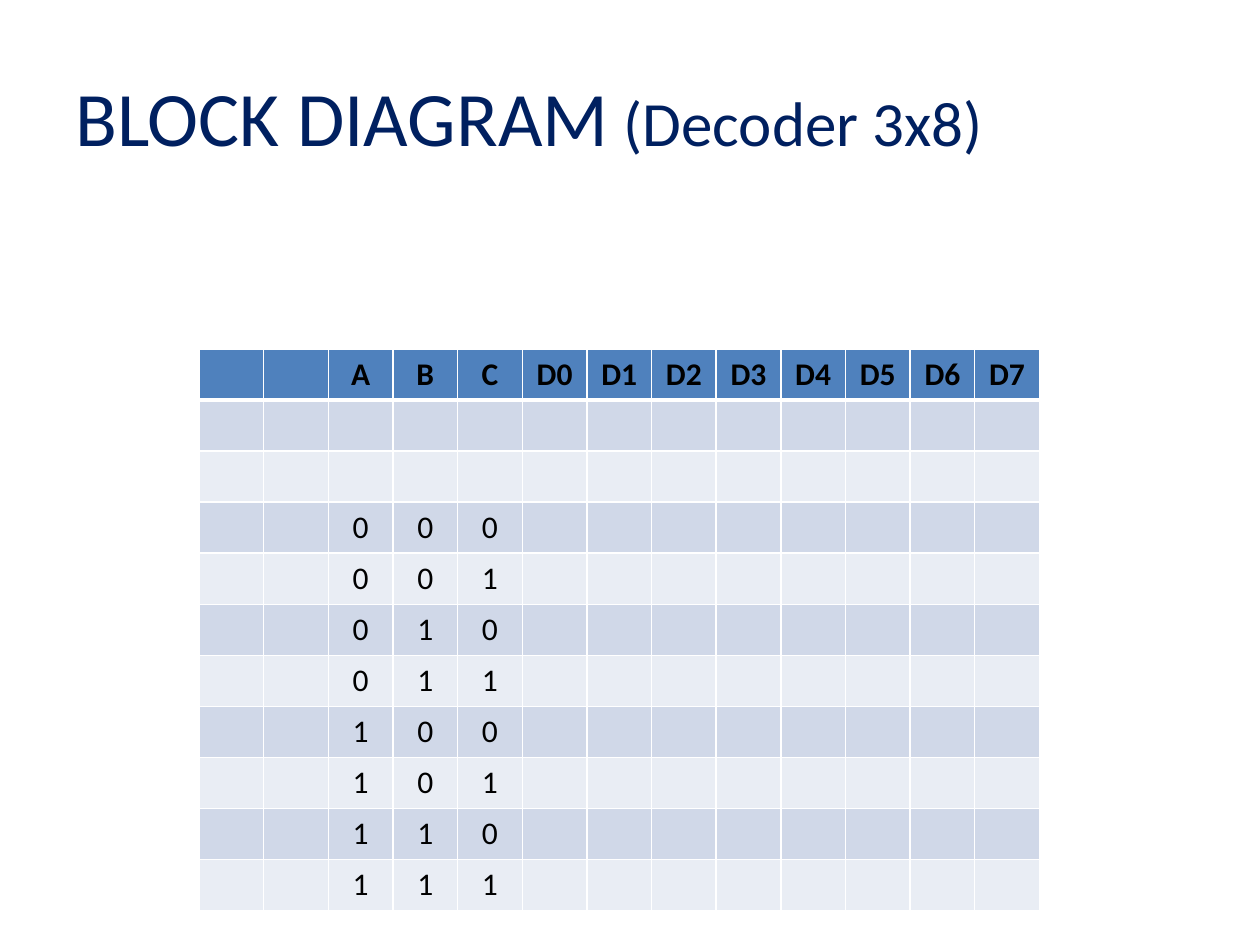
from dataclasses import dataclass
from itertools import product

from lxml.etree import SubElement
from pptx import Presentation
from pptx.dml.color import RGBColor as Color
from pptx.enum.text import MSO_ANCHOR as Anchor, PP_ALIGN as Align
from pptx.oxml.ns import qn
from pptx.util import Inches, Pt

TITLE = [("BLOCK DIAGRAM", 44), (" (Decoder 3x8)", 36)]
INPUTS = ["A", "B", "C"]
OUTPUTS = [f"D{number}" for number in range(8)]
HEADER = ["", ""] + INPUTS + OUTPUTS
EMPTY_ROW = [""] * len(HEADER)
TRUTH_ROWS = [["", "", *bits] + [""] * len(OUTPUTS)
              for bits in product("01", repeat=len(INPUTS))]
ROWS = [HEADER, EMPTY_ROW, EMPTY_ROW, *TRUTH_ROWS]

TITLE_AREA = (0.5, 0.29, 9, 1.25)
TABLE_AREA = (1.58, 2.77, 6.67, 4.46)


@dataclass(frozen=True)
class Theme:
    font: str = "Calibri"
    title: str = "002060"
    text: str = "000000"
    header: str = "4F81BD"
    bands: tuple = ("D0D8E8", "E9EDF4")
    border: str = "FFFFFF"
    cell_size: int = 18
    thin: int = 1
    thick: int = 3


THEME = Theme()


def style_font(font, color):
    font.name = THEME.font
    font.color.rgb = Color.from_string(color)


def add_title(slide):
    box = slide.shapes.add_textbox(*map(Inches, TITLE_AREA))
    frame = box.text_frame
    frame.word_wrap = True
    frame.vertical_anchor = Anchor.MIDDLE
    para = frame.paragraphs[0]
    style_font(para.font, THEME.title)
    for text, size in TITLE:
        span = para.add_run()
        span.text = text
        span.font.size = Pt(size)


def set_borders(cell, row):
    """Draw the cell's edges, with a thick rule between header and body."""
    top = THEME.thick if row == 1 else THEME.thin
    bottom = THEME.thick if row == 0 else THEME.thin
    edges = {"lnL": THEME.thin, "lnR": THEME.thin, "lnT": top, "lnB": bottom}
    properties = cell._tc.get_or_add_tcPr()
    for edge, width in edges.items():
        line = SubElement(properties, qn(f"a:{edge}"), w=str(Pt(width)))
        fill = SubElement(line, qn("a:solidFill"))
        SubElement(fill, qn("a:srgbClr"), val=THEME.border)


def fill_cell(cell, row, text):
    set_borders(cell, row)
    color = THEME.bands[(row - 1) % 2] if row else THEME.header
    cell.fill.solid()
    cell.fill.fore_color.rgb = Color.from_string(color)
    cell.vertical_anchor = Anchor.MIDDLE
    cell.text = text
    para = cell.text_frame.paragraphs[0]
    para.alignment = Align.CENTER
    style_font(para.font, THEME.text)
    para.font.size = Pt(THEME.cell_size)
    para.font.bold = row == 0


def add_truth_table(slide):
    table = slide.shapes.add_table(
        len(ROWS), len(HEADER), *map(Inches, TABLE_AREA)).table
    table.first_row = False
    table.horz_banding = False
    for row, texts in enumerate(ROWS):
        for column, text in enumerate(texts):
            fill_cell(table.cell(row, column), row, text)


def main():
    deck = Presentation()
    deck.slide_width, deck.slide_height = Inches(10), Inches(7.5)
    slide = deck.slides.add_slide(deck.slide_layouts[6])
    add_title(slide)
    add_truth_table(slide)
    deck.save("out.pptx")


if __name__ == "__main__":
    main()
